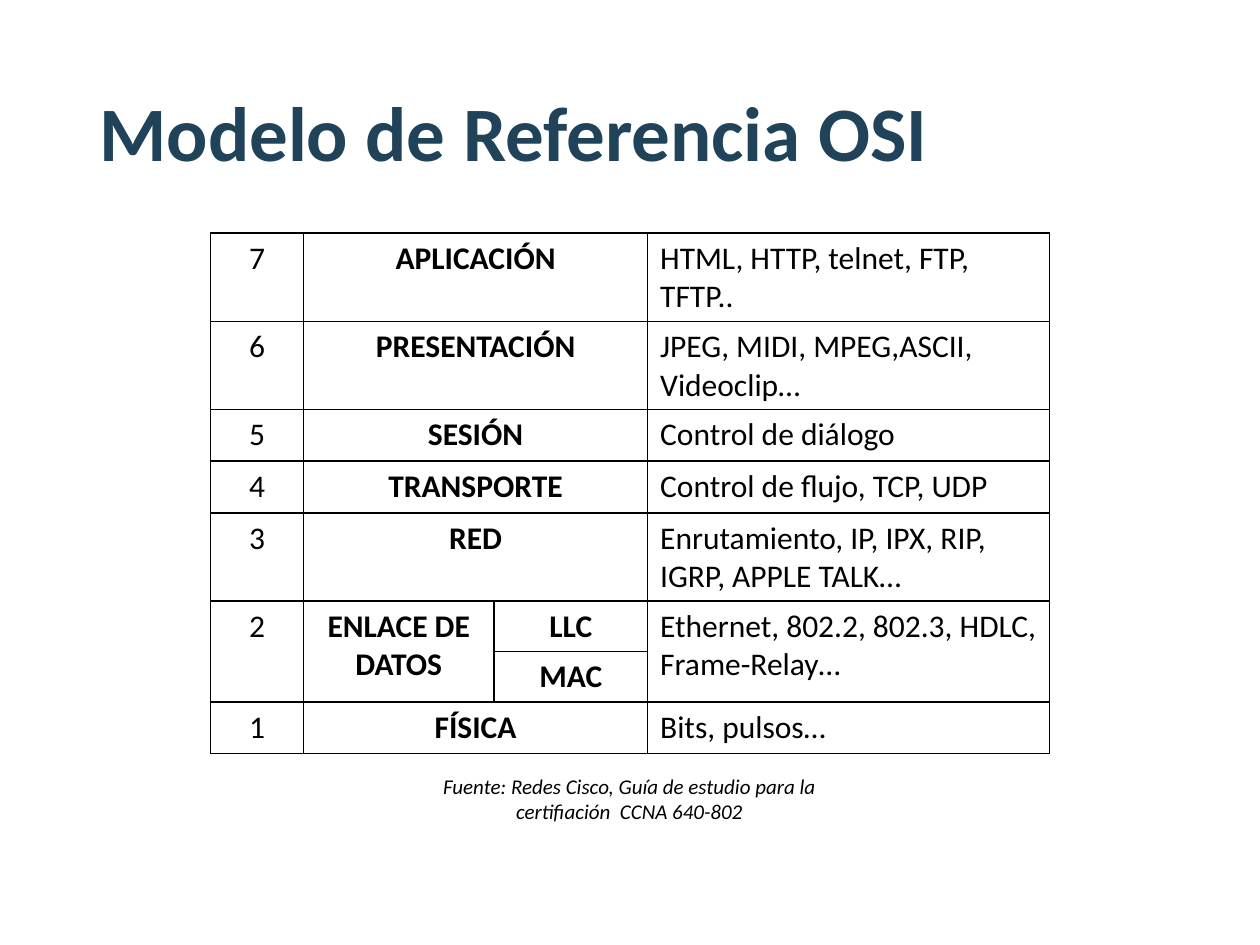
"""Build a slide with the seven layers of the OSI reference model."""
import pptx
import pptx.dml.color
import pptx.enum.text
import pptx.oxml
import pptx.oxml.ns
import pptx.util

Inches = pptx.util.Inches
ALIGN = pptx.enum.text.PP_ALIGN
ANCHOR = pptx.enum.text.MSO_ANCHOR
BLACK = pptx.dml.color.RGBColor(0x00, 0x00, 0x00)
NAVY = pptx.dml.color.RGBColor(0x20, 0x43, 0x5A)


def write(frame, text, size=18, color=BLACK, bold=False, italic=False,
          align=ALIGN.LEFT, spacing=None):
    frame.word_wrap = True
    paragraph = frame.paragraphs[0]
    paragraph.alignment = align
    paragraph.line_spacing = spacing
    run = paragraph.add_run()
    run.text = text
    run.font.name = "Calibri"
    run.font.size = pptx.util.Pt(size)
    run.font.bold = bold
    run.font.italic = italic
    run.font.color.rgb = color


def add_borders(cell):
    properties = cell._tc.get_or_add_tcPr()
    for position, side in enumerate(("lnL", "lnR", "lnT", "lnB")):
        properties.insert(position, pptx.oxml.parse_xml(
            f'<a:{side} {pptx.oxml.ns.nsdecls("a")} w="12700"><a:solidFill>'
            f'<a:srgbClr val="{BLACK}"/></a:solidFill></a:{side}>'))


presentation = pptx.Presentation()
presentation.slide_width = Inches(10)
presentation.slide_height = Inches(7.5)
slide = presentation.slides.add_slide(presentation.slide_layouts[6])

title = slide.shapes.add_textbox(Inches(0.69), Inches(0.4), Inches(8.62), Inches(1.45))
title.text_frame.vertical_anchor = ANCHOR.MIDDLE
write(title.text_frame, "Modelo de Referencia OSI", size=44, color=NAVY, bold=True, spacing=0.7)

layers = [
    ("7", "APLICACIÓN", "", "HTML, HTTP, telnet, FTP, TFTP.."),
    ("6", "PRESENTACIÓN", "", "JPEG, MIDI, MPEG,ASCII, Videoclip…"),
    ("5", "SESIÓN", "", "Control de diálogo"),
    ("4", "TRANSPORTE", "", "Control de flujo, TCP, UDP"),
    ("3", "RED", "", "Enrutamiento, IP, IPX, RIP, IGRP, APPLE TALK…"),
    ("2", "ENLACE DE DATOS", "LLC", "Ethernet, 802.2, 802.3, HDLC, Frame-Relay…"),
    ("", "", "MAC", ""),
    ("1", "FÍSICA", "", "Bits, pulsos…"),
]
column_widths = [0.74, 1.51, 1.22, 3.19]
sublayer_rows = (5, 6)

osi = slide.shapes.add_table(len(layers), len(column_widths), Inches(1.67), Inches(1.85),
                             Inches(6.67), Inches(2.86)).table
osi.first_row = False
osi.horz_banding = False
for column, width in zip(osi.columns, column_widths):
    column.width = Inches(width)

for row, layer in enumerate(layers):
    osi.rows[row].height = Inches(0.2 if row in sublayer_rows else 0.41)
    for column, text in enumerate(layer):
        cell = osi.cell(row, column)
        cell.fill.background()
        add_borders(cell)
        if text:
            write(cell.text_frame, text, bold=column in (1, 2),
                  align=ALIGN.LEFT if column == 3 else ALIGN.CENTER)
    if row not in sublayer_rows:
        osi.cell(row, 1).merge(osi.cell(row, 2))

for column in (0, 1, 3):
    osi.cell(sublayer_rows[0], column).merge(osi.cell(sublayer_rows[1], column))

citation = slide.shapes.add_textbox(Inches(3.09), Inches(6.09), Inches(3.81), Inches(0.5))
write(citation.text_frame,
      "Fuente: Redes Cisco, Guía de estudio para la certifiación  CCNA 640-802",
      size=12, italic=True, align=ALIGN.CENTER)

presentation.save("out.pptx")
